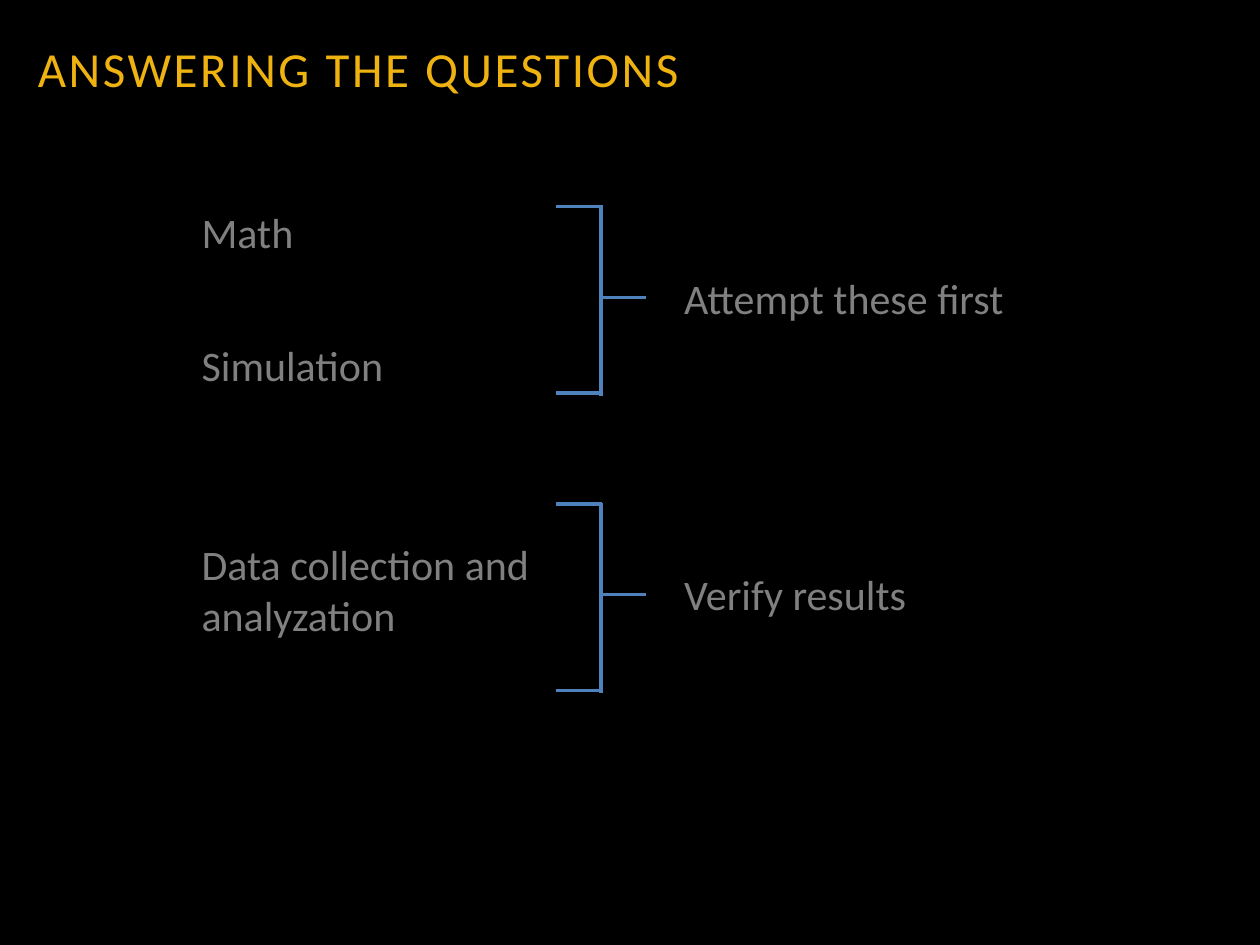
from lxml.etree import SubElement
from pptx import Presentation
from pptx.dml.color import RGBColor
from pptx.enum.shapes import MSO_CONNECTOR as Connector
from pptx.enum.text import MSO_ANCHOR as Anchor
from pptx.oxml.ns import qn
from pptx.util import Inches, Pt

COLORS = {"background": "000000", "title": "EEB211", "text": "808080", "bracket": "4F81BD"}
TITLE_FONT = {"name": "Calibri", "size": Pt(28)}
TEXT_FONT = {"name": "Calibri", "size": Pt(24)}
METHODS = [("Math", 0), ("Simulation", 47.3), ("Data collection and analyzation", 85)]
OUTCOMES = [("Attempt these first", 3.18, 2.11, 1.64), ("Verify results", 2.75, 4.46, 4.0)]


def color(name):
    """Return the named color as an RGBColor."""
    return RGBColor.from_string(COLORS[name])


def add_text(slide, box, paragraphs, font, color_name, right_inset=0.3, anchor=Anchor.TOP):
    """Add a text box of (text, points before) paragraphs and return its text frame."""
    frame = slide.shapes.add_textbox(*map(Inches, box)).text_frame
    settings = {"word_wrap": True, "vertical_anchor": anchor,
                "margin_left": Inches(0.3), "margin_right": Inches(right_inset),
                "margin_top": Inches(0.05), "margin_bottom": Inches(0.05)}
    for name, value in settings.items():
        setattr(frame, name, value)
    for index, (text, space_before) in enumerate(paragraphs):
        paragraph = frame.add_paragraph() if index else frame.paragraphs[0]
        paragraph.space_before = Pt(space_before)
        run = paragraph.add_run()
        run.text = text
        for name, value in font.items():
            setattr(run.font, name, value)
        run.font.color.rgb = color(color_name)
    return frame


def add_title(slide, text):
    """Add the letter-spaced slide title."""
    frame = add_text(slide, (0, 0, 6.71, 1.08), [(text, 0)], TITLE_FONT, "title", 0.1, Anchor.MIDDLE)
    frame.paragraphs[0].runs[0].font._element.set("spc", "150")


def add_line(slide, *ends):
    """Add a straight bracket line between two points."""
    line = slide.shapes.add_connector(Connector.STRAIGHT, *map(Inches, ends))
    line.line.color.rgb = color("bracket")
    line.line.width = Pt(2)
    SubElement(line._element.spPr, qn("a:effectLst"))


def add_bracket(slide, top, left=4.41, spine=4.77, arm=0.37, height=1.48):
    """Add a bracket open to the left with a stem on its right."""
    bottom, middle = top + height, top + 0.72
    for y in (top, bottom):
        add_line(slide, left, y, left + arm, y)
    add_line(slide, spine, top - 0.01, spine, bottom + 0.02)
    add_line(slide, spine - 0.01, middle, spine - 0.01 + arm, middle)


def main():
    """Build and save the slide."""
    presentation = Presentation()
    presentation.slide_width, presentation.slide_height = Inches(10), Inches(7.5)
    slide = presentation.slides.add_slide(presentation.slide_layouts[6])
    slide.background.fill.solid()
    slide.background.fill.fore_color.rgb = color("background")
    add_title(slide, "ANSWERING THE QUESTIONS")
    add_text(slide, (1.3, 1.59, 4.62, 5.21), METHODS, TEXT_FONT, "text")
    for label, width, label_top, bracket_top in OUTCOMES:
        add_bracket(slide, bracket_top)
        add_text(slide, (5.13, label_top, width, 0.66), [(label, 0)], TEXT_FONT, "text")
    presentation.save("out.pptx")


if __name__ == "__main__":
    main()
